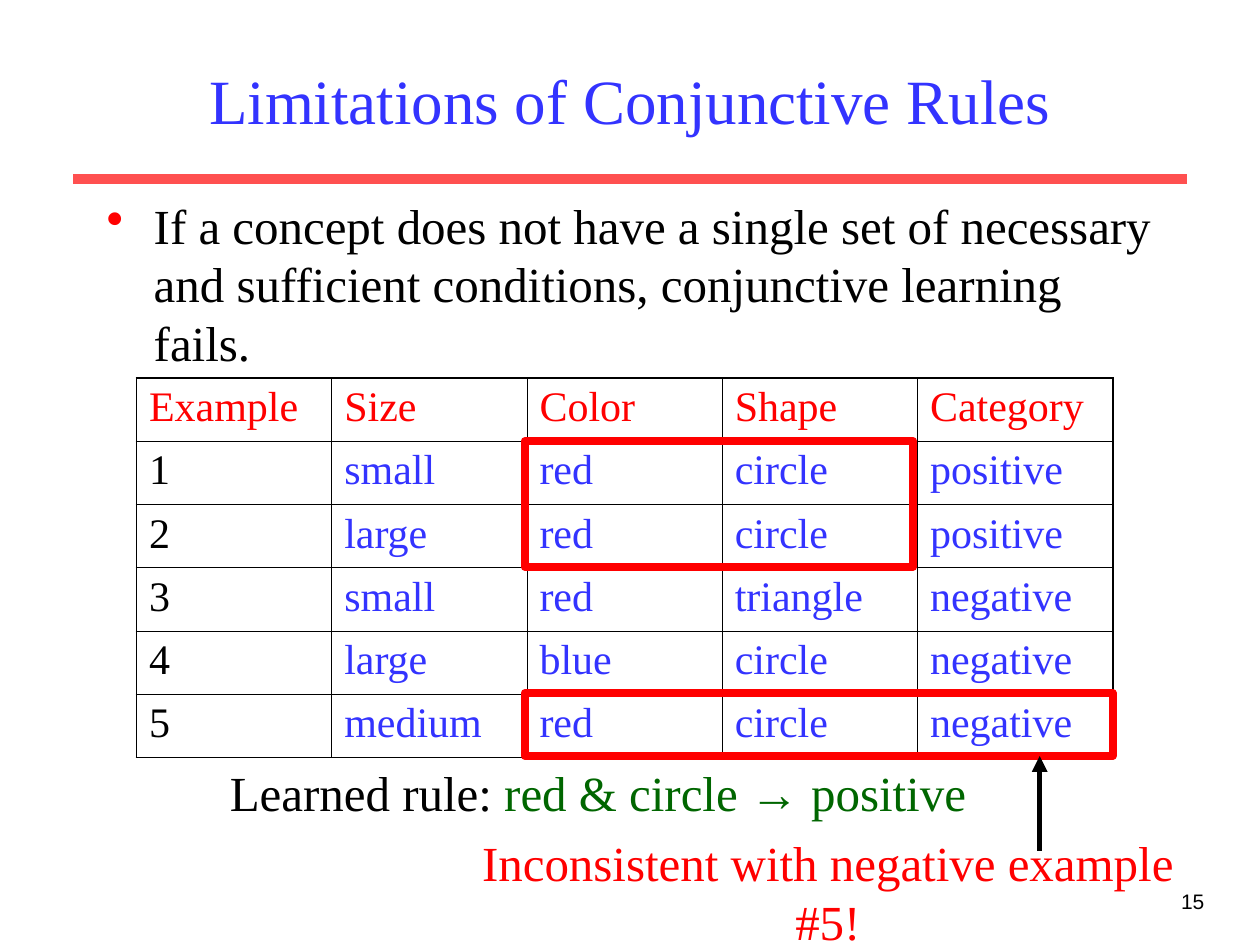
from lxml.etree import SubElement
from pptx import Presentation
from pptx.dml.color import RGBColor
from pptx.enum.shapes import MSO_CONNECTOR as Connector, MSO_SHAPE as Shape
from pptx.enum.text import MSO_ANCHOR as Anchor, PP_ALIGN as Align
from pptx.oxml.ns import qn
from pptx.util import Cm, Pt

COLORS = {
    "blue": "3333FF", "red": "FF0000", "coral": "FF5050",
    "green": "006600", "black": "000000",
}
SERIF, SANS = "Times New Roman", "Arial"

EXAMPLES = [
    ["Example", "Size", "Color", "Shape", "Category"],
    ["1", "small", "red", "circle", "positive"],
    ["2", "large", "red", "circle", "positive"],
    ["3", "small", "red", "triangle", "negative"],
    ["4", "large", "blue", "circle", "negative"],
    ["5", "medium", "red", "circle", "negative"],
]


def color(name):
    return RGBColor.from_string(COLORS[name])


def style(font, size, color_name, face=SERIF):
    font.size, font.name = Pt(size), face
    font.color.rgb = color(color_name)


def add_text(page, place, spans, size, align=Align.LEFT, face=SERIF,
             anchor=Anchor.TOP, wrap=True):
    """Add one paragraph made of (text, color name) spans."""
    box = page.shapes.add_textbox(*map(Cm, place))
    frame = box.text_frame
    frame.word_wrap, frame.vertical_anchor = wrap, anchor
    para = frame.paragraphs[0]
    para.alignment = align
    for text, color_name in spans:
        span = para.add_run()
        span.text = text
        style(span.font, size, color_name, face)
    return para


def add_bullet(para, color_name, indent):
    props = para._p.get_or_add_pPr()
    props.set("marL", str(Cm(indent)))
    props.set("indent", str(-Cm(indent)))
    bullet_color = SubElement(props, qn("a:buClr"))
    SubElement(bullet_color, qn("a:srgbClr"), val=COLORS[color_name])
    SubElement(props, qn("a:buChar"), char="•")


def add_line(page, start, end, color_name, width, arrow=False):
    line = page.shapes.add_connector(
        Connector.STRAIGHT, *map(Cm, (*start, *end)))
    line.line.color.rgb = color(color_name)
    line.line.width = Pt(width)
    if arrow:
        SubElement(line.line._get_or_add_ln(), qn("a:tailEnd"), type="triangle")
    SubElement(line._element.spPr, qn("a:effectLst"))


def add_frame(page, place):
    frame = page.shapes.add_shape(Shape.RECTANGLE, *map(Cm, place))
    frame.shadow.inherit = False
    frame.fill.background()
    frame.line.color.rgb = color("red")
    frame.line.width = Pt(4.5)


def set_borders(cell, outer_sides):
    props = cell._tc.get_or_add_tcPr()
    for side in "LRTB":
        width = 1.08 if side in outer_sides else 0.45
        border = SubElement(props, qn(f"a:ln{side}"), w=str(Pt(width)))
        fill = SubElement(border, qn("a:solidFill"))
        SubElement(fill, qn("a:srgbClr"), val=COLORS["black"])


def add_examples(page, place):
    rows, columns = len(EXAMPLES), len(EXAMPLES[0])
    table = page.shapes.add_table(rows, columns, *map(Cm, place)).table
    table.first_row = table.horz_banding = False
    for r, values in enumerate(EXAMPLES):
        for c, value in enumerate(values):
            cell = table.cell(r, c)
            cell.text = value
            name = "red" if r == 0 else "black" if c == 0 else "blue"
            style(cell.text_frame.paragraphs[0].runs[0].font, 24, name)
            edges = {"T": r == 0, "B": r == rows - 1,
                     "L": c == 0, "R": c == columns - 1}
            set_borders(cell, [side for side, outer in edges.items() if outer])
            cell.fill.background()


def main():
    deck = Presentation()
    deck.slide_width, deck.slide_height = Cm(25.4), Cm(19.05)
    page = deck.slides.add_slide(deck.slide_layouts[6])

    # Heading, rule and page number
    add_line(page, (1.48, 3.61), (23.92, 3.61), "coral", 6)
    add_text(page, (19.25, 17.78, 5.28, 1.27), [("15", "black")], 12,
             Align.RIGHT, SANS)
    add_text(page, (1.9, 0.64, 21.6, 2.74),
             [("Limitations of Conjunctive Rules", "blue")], 36,
             Align.CENTER, anchor=Anchor.MIDDLE)

    # Statement
    statement = add_text(
        page, (1.9, 3.81, 21.6, 6.3),
        [("If a concept does not have a single set of necessary and sufficient "
          "conditions, conjunctive learning fails.", "black")], 28)
    add_bullet(statement, "red", 0.95)

    # Training examples, with the matching positives framed
    add_examples(page, (2.75, 7.62, 19.68, 7.65))
    add_frame(page, (10.58, 8.89, 7.83, 2.54))

    # Learned rule
    add_text(page, (3.39, 15.24, 17.58, 1.45),
             [("Learned rule: ", "black"),
              ("red & circle → positive ", "green")], 28, Align.CENTER)

    # Counterexample
    add_frame(page, (10.58, 13.97, 11.85, 1.27))
    add_text(page, (8.69, 16.66, 16, 1.45),
             [("Inconsistent with negative example #5!", "red")], 28,
             Align.CENTER, wrap=False)
    add_line(page, (20.96, 17.15), (20.96, 15.24), "black", 3, arrow=True)

    deck.save("out.pptx")


if __name__ == "__main__":
    main()
